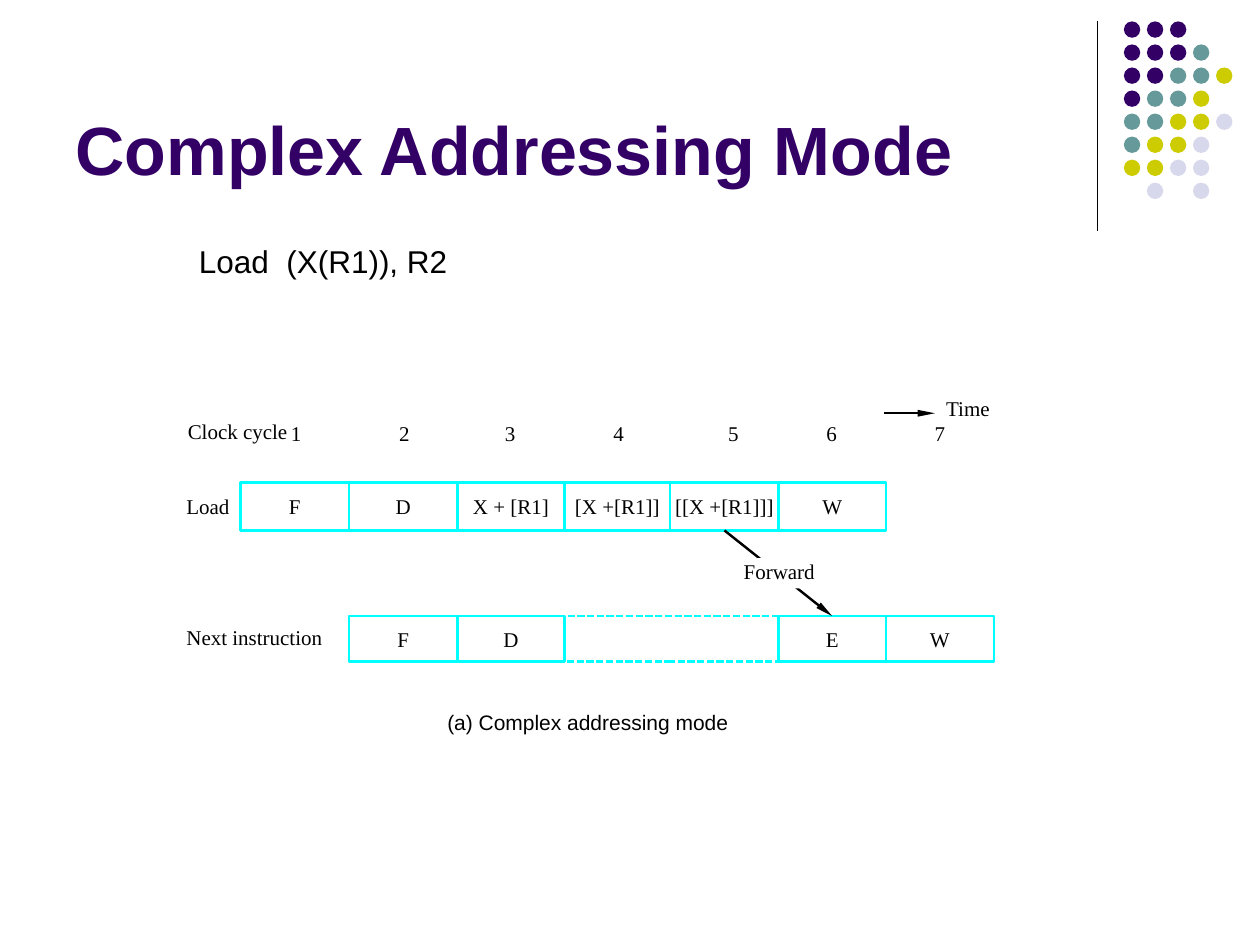
from itertools import pairwise

from lxml.etree import SubElement
from pptx import Presentation
from pptx.dml.color import RGBColor
from pptx.enum.dml import MSO_LINE
from pptx.enum.shapes import MSO_CONNECTOR, MSO_SHAPE
from pptx.enum.text import MSO_ANCHOR, PP_ALIGN
from pptx.oxml.ns import qn
from pptx.util import Inches, Pt

COLORS = {
    "ink": "000000",
    "paper": "FFFFFF",
    "cell": "00FFFF",
    "purple": "330066",
    "teal": "669999",
    "olive": "CCCC00",
    "lilac": "D8D8EC",
}
SERIF = {"name": "Times New Roman", "size": Pt(12), "bold": False}
SANS = {"name": "Arial", "size": Pt(12), "bold": False}
TIGHT = {"margin_left": 0, "margin_top": 0, "margin_right": 0, "margin_bottom": 0}
PADDED = {
    "margin_left": Inches(0.1),
    "margin_top": Inches(0.05),
    "margin_right": Inches(0.1),
    "margin_bottom": Inches(0.05),
}
STROKE = 1.39


def rgb(name):
    return RGBColor.from_string(COLORS[name])


def apply_format(target, values):
    for attribute, value in values.items():
        setattr(target, attribute, value)


class Diagram:
    """Holds the slide and draws its elements in one style."""

    def __init__(self, slide):
        self.shapes = slide.shapes

    def fill_text(self, shape, text, font, frame, color="ink", align=PP_ALIGN.LEFT):
        apply_format(shape.text_frame, frame)
        paragraph = shape.text_frame.paragraphs[0]
        paragraph.text = text
        paragraph.alignment = align
        apply_format(paragraph.font, font)
        paragraph.font.color.rgb = rgb(color)

    def label(self, text, left, top, width, height=0.2, font=SERIF, color="ink",
              align=PP_ALIGN.LEFT, **frame):
        box = self.shapes.add_textbox(*map(Inches, (left, top, width, height)))
        settings = {**TIGHT, "word_wrap": True, "vertical_anchor": MSO_ANCHOR.TOP, **frame}
        self.fill_text(box, text, font, settings, color, align)

    def box(self, left, top, width, height, text="", fill=None, line=None,
            dash=None, anchor=MSO_ANCHOR.MIDDLE):
        rect = self.shapes.add_shape(
            MSO_SHAPE.RECTANGLE, *map(Inches, (left, top, width, height)))
        self.paint(rect, fill, line)
        if dash:
            rect.line.dash_style = dash
        if text:
            frame = {**TIGHT, "word_wrap": False, "vertical_anchor": anchor}
            self.fill_text(rect, text, SERIF, frame, align=PP_ALIGN.CENTER)
        return rect

    def paint(self, shape, fill=None, line=None):
        shape.shadow.inherit = False
        if fill:
            shape.fill.solid()
            shape.fill.fore_color.rgb = rgb(fill)
        else:
            shape.fill.background()
        if line:
            shape.line.color.rgb = rgb(line)
            shape.line.width = Pt(STROKE)
        else:
            shape.line.fill.background()

    def line(self, x1, y1, x2, y2, width=STROKE, arrow=False):
        connector = self.shapes.add_connector(
            MSO_CONNECTOR.STRAIGHT, *map(Inches, (x1, y1, x2, y2)))
        connector.line.color.rgb = rgb("ink")
        connector.line.width = Pt(width)
        properties = connector._element.spPr
        if arrow:
            SubElement(properties.find(qn("a:ln")), qn("a:tailEnd"),
                       type="triangle", w="sm", len="lg")
        SubElement(properties, qn("a:effectLst"))
        return connector

    def dots(self, rows, palette, left, top, pitch, size):
        group = self.shapes.add_group_shape()
        for row, codes in enumerate(rows):
            for column, code in enumerate(codes):
                if code in palette:
                    dot = group.shapes.add_shape(
                        MSO_SHAPE.OVAL, Inches(left + column * pitch),
                        Inches(top + row * pitch), Inches(size), Inches(size))
                    self.paint(dot, palette[code])


def main():
    deck = Presentation()
    deck.slide_width, deck.slide_height = Inches(10), Inches(7.5)
    diagram = Diagram(deck.slides.add_slide(deck.slide_layouts[6]))

    # Corner ornament
    diagram.line(8.71, 0.17, 8.71, 1.83, width=0.75)
    diagram.dots(
        ["PPP", "PPPT", "PPTTY", "PTTY", "TTYYL", "TYYL", "YYLL", "-L-L"],
        {"P": "purple", "T": "teal", "Y": "olive", "L": "lilac"},
        left=8.92, top=0.17, pitch=1.28 / 7, size=0.13)

    # Title and the instruction being traced
    diagram.label("Complex Addressing Mode", 0.5, 0.13, 8.25, 1.42,
                  {**SANS, "size": Pt(39), "bold": True}, "purple",
                  **{**PADDED, "vertical_anchor": MSO_ANCHOR.BOTTOM})
    diagram.label("Load  (X(R1)), R2", 1.48, 1.87, 2.5, 0.4,
                  {**SANS, "size": Pt(18)}, **PADDED)

    # Time axis
    diagram.label("Clock cycle", 1.49, 3.32, 0.85)
    cycle_centers = [2.35, 3.21, 4.05, 4.91, 5.82, 6.6, 7.46]
    for cycle, center in enumerate(cycle_centers, start=1):
        diagram.label(str(cycle), center - 0.1, 3.34, 0.2, align=PP_ALIGN.CENTER)
    diagram.line(7.02, 3.28, 7.42, 3.28, arrow=True)
    diagram.label("Time", 7.51, 3.14, 0.5)

    # Pipeline stages, one column per clock cycle
    columns = list(pairwise([1.91, 2.77, 3.63, 4.48, 5.32, 6.18, 7.03, 7.89]))
    load_top, load_height = 3.83, 0.38
    next_top, next_height = 4.89, 0.36

    diagram.label("Load", 1.48, 3.92, 0.4)
    load_stages = ["F", "D", "X + [R1]", "[X +[R1]]", "[[X +[R1]]]", "W"]
    load_cells = [
        diagram.box(left, load_top, right - left, load_height, stage, line="cell")
        for stage, (left, right) in zip(load_stages, columns)]

    diagram.label("Next instruction", 1.48, 4.96, 1.25)
    stall_left, stall_right = columns[3][0], columns[4][1]
    diagram.box(stall_left, next_top, stall_right - stall_left, next_height,
                line="cell", dash=MSO_LINE.SQUARE_DOT)
    next_cells = {}
    for stage, column in {"F": 1, "D": 2, "E": 5, "W": 6}.items():
        left, right = columns[column]
        next_cells[stage] = diagram.box(
            left, next_top, right - left, next_height, stage, line="cell")

    # Operand forwarding from the last memory access to execute
    forwarding = diagram.line(5.75, 4.21, 6.61, 4.89, arrow=True)
    forwarding.begin_connect(load_cells[4], 2)
    forwarding.end_connect(next_cells["E"], 0)
    diagram.box(5.8, 4.43, 0.77, 0.24, "Forward", fill="paper", anchor=MSO_ANCHOR.TOP)

    # Caption
    diagram.label("(a) Complex addressing mode", 3.55, 5.63, 2.4, font=SANS)

    deck.save("out.pptx")


if __name__ == "__main__":
    main()
